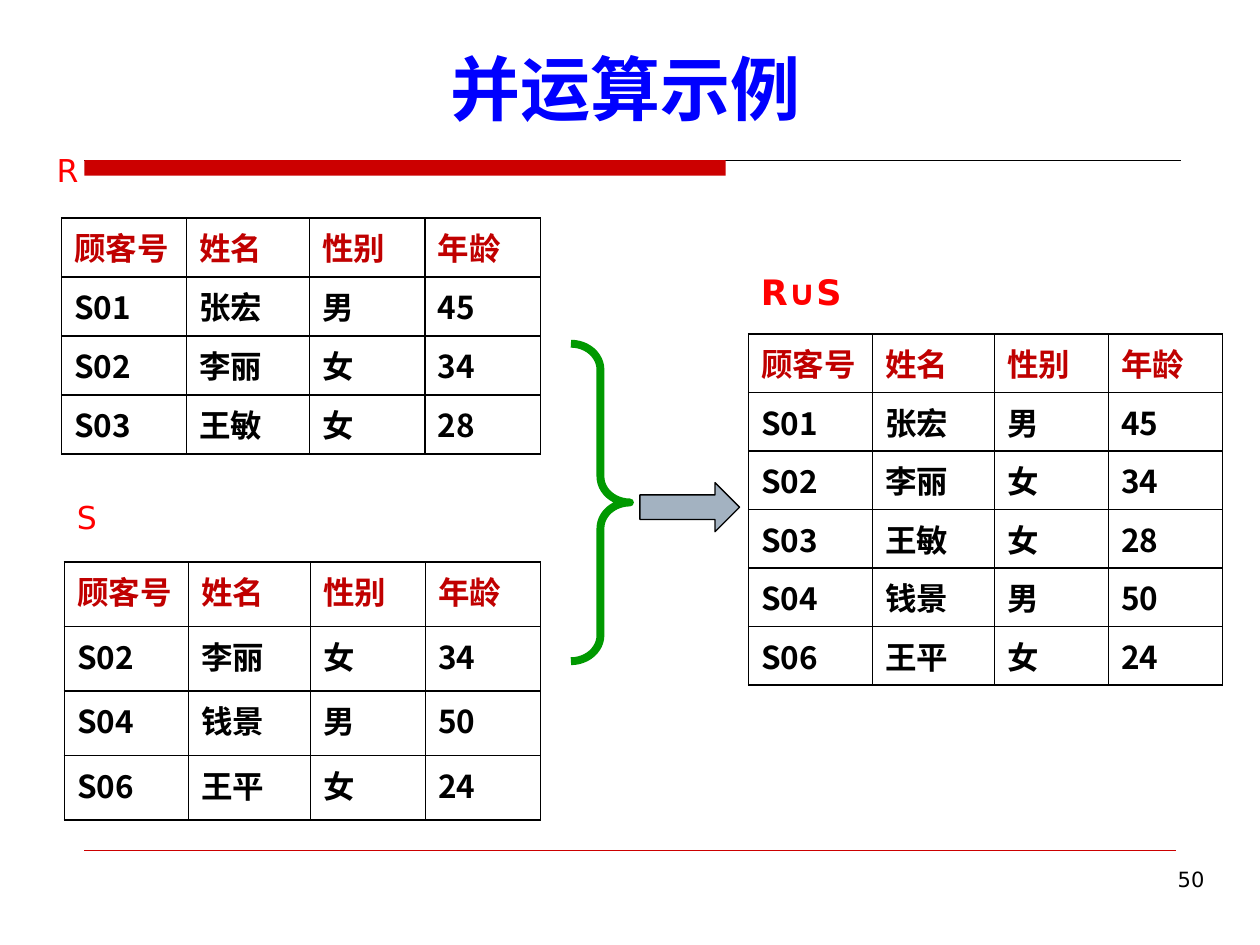
"""Build a slide that shows the union of two customer relations."""
from lxml import etree
from pptx import Presentation
from pptx.dml.color import RGBColor
from pptx.enum.shapes import MSO_CONNECTOR, MSO_SHAPE
from pptx.enum.text import MSO_ANCHOR, PP_ALIGN
from pptx.oxml.ns import qn
from pptx.util import Cm, Pt

STRAIGHT = MSO_CONNECTOR.STRAIGHT
RECTANGLE = MSO_SHAPE.RECTANGLE
RIGHT_BRACE = MSO_SHAPE.RIGHT_BRACE
RIGHT_ARROW = MSO_SHAPE.RIGHT_ARROW
BOTTOM = MSO_ANCHOR.BOTTOM
LEFT, CENTER, RIGHT = PP_ALIGN.LEFT, PP_ALIGN.CENTER, PP_ALIGN.RIGHT

BLACK = RGBColor(0x00, 0x00, 0x00)
BLUE = RGBColor(0x00, 0x00, 0xFF)
RED = RGBColor(0xFF, 0x00, 0x00)
RULE_RED = RGBColor(0xCC, 0x00, 0x00)
HEADER_RED = RGBColor(0xC0, 0x00, 0x00)
GREEN = RGBColor(0x00, 0x99, 0x00)
GREY_BLUE = RGBColor(0xA3, 0xB2, 0xC1)

CHINESE_FONT = "Noto Sans CJK SC"
CODE_FONT = "Noto Sans CJK KR"
SERIF_FONT = "Times New Roman"
LABEL_FONT = "DejaVu Sans"

HEADER = ("顾客号", "姓名", "性别", "年龄")
R_ROWS = [("S01", "张宏", "男", "45"), ("S02", "李丽", "女", "34"), ("S03", "王敏", "女", "28")]
S_ROWS = [("S02", "李丽", "女", "34"), ("S04", "钱景", "男", "50"), ("S06", "王平", "女", "24")]
UNION_ROWS = R_ROWS + [row for row in S_ROWS if row not in R_ROWS]


class SlideBuilder:
    """Hold the style and the current slide."""

    def __init__(self, slide):
        self.slide = slide
        self.shapes = slide.shapes

    def style(self, paragraph, size, color, font, bold=False, align=LEFT):
        paragraph.alignment = align
        for run in paragraph.runs:
            run.font.size = Pt(size)
            run.font.bold = bold
            run.font.color.rgb = color
            run.font.name = font
            east_asian = etree.SubElement(run.font._element, qn("a:ea"))
            east_asian.set("typeface", CHINESE_FONT)

    def title(self, text, left, top, width, height):
        title = self.shapes.title
        title.left, title.top, title.width, title.height = map(Cm, (left, top, width, height))
        title.text_frame.text = text
        title.text_frame.vertical_anchor = BOTTOM
        self.style(title.text_frame.paragraphs[0], 40, BLUE, CHINESE_FONT, True, CENTER)

    def label(self, text, left, top, width, height, size=18, color=RED, bold=False, align=LEFT):
        box = self.shapes.add_textbox(*map(Cm, (left, top, width, height)))
        box.text_frame.word_wrap = True
        box.text_frame.text = text
        self.style(box.text_frame.paragraphs[0], size, color, LABEL_FONT, bold, align)

    def rule(self, left, right, y, color, width):
        connector = self.shapes.add_connector(STRAIGHT, *map(Cm, (left, y, right, y)))
        connector.line.color.rgb = color
        connector.line.width = Pt(width)
        etree.SubElement(connector._element.spPr, qn("a:effectLst"))

    def shape(self, kind, left, top, width, height, fill=None, line=None, line_width=0.75):
        shape = self.shapes.add_shape(kind, *map(Cm, (left, top, width, height)))
        shape.shadow.inherit = False
        if fill is None:
            shape.fill.background()
        else:
            shape.fill.solid()
            shape.fill.fore_color.rgb = fill
        if line is None:
            shape.line.fill.background()
        else:
            shape.line.color.rgb = line
            shape.line.width = Pt(line_width)
        return shape

    def border(self, cell):
        properties = cell._tc.get_or_add_tcPr()
        for index, side in enumerate(("lnL", "lnR", "lnT", "lnB")):
            line = etree.Element(qn(f"a:{side}"), w=str(Pt(1)))
            fill = etree.SubElement(line, qn("a:solidFill"))
            etree.SubElement(fill, qn("a:srgbClr"), val=str(BLACK))
            properties.insert(index, line)

    def table(self, rows, left, top, column_widths, row_height, text_font, code_font):
        data = [HEADER, *rows]
        frame = self.shapes.add_table(
            len(data), len(HEADER), Cm(left), Cm(top),
            Cm(sum(column_widths)), Cm(row_height * len(data)))
        table = frame.table
        for column, width in zip(table.columns, column_widths):
            column.width = Cm(width)
        for row_index, values in enumerate(data):
            table.rows[row_index].height = Cm(row_height)
            for column_index, value in enumerate(values):
                cell = table.cell(row_index, column_index)
                cell.fill.background()
                self.border(cell)
                cell.text_frame.text = value
                paragraph = cell.text_frame.paragraphs[0]
                color = BLACK if row_index else HEADER_RED
                font = code_font if value.isascii() else text_font
                self.style(paragraph, 18, color, font, True)
                indent = paragraph._p.get_or_add_pPr()
                indent.set("marL", str(Cm(0.96)))
                indent.set("indent", str(-Cm(0.96)))


def main():
    presentation = Presentation()
    presentation.slide_width, presentation.slide_height = Cm(25.4), Cm(19.05)
    builder = SlideBuilder(presentation.slides.add_slide(presentation.slide_layouts[5]))

    builder.rule(1.7, 23.8, 3.23, BLACK, 0.75)
    builder.shape(RECTANGLE, 1.7, 3.23, 12.93, 0.31, fill=RULE_RED)
    builder.rule(1.7, 23.7, 17.15, RULE_RED, 0.25)
    builder.title("并运算示例", 0.64, 0, 23.93, 2.74)

    builder.table(R_ROWS, 1.24, 4.39, (2.52, 2.48, 2.33, 2.33), 1.19, CHINESE_FONT, CHINESE_FONT)
    builder.table(S_ROWS, 1.3, 11.33, (2.5, 2.46, 2.32, 2.32), 1.3, SERIF_FONT, CODE_FONT)
    builder.table(UNION_ROWS, 15.09, 6.73, (2.5, 2.46, 2.3, 2.3), 1.18, SERIF_FONT, CODE_FONT)

    brace = builder.shape(RIGHT_BRACE, 11.51, 6.93, 1.19, 6.4, line=GREEN, line_width=4.5)
    brace.adjustments[0] = 0.44
    builder.shape(RIGHT_ARROW, 12.9, 9.73, 2.01, 0.99, fill=GREY_BLUE, line=BLACK)

    builder.label("R", 0.89, 2.92, 2.39, 1.6)
    builder.label("S", 1.3, 9.91, 2.39, 1.6)
    builder.label("R∪S", 15.09, 5.33, 3.81, 1.12, size=20, bold=True)
    builder.label("50", 19.25, 17.35, 5.28, 1.27, size=12, color=BLACK, align=RIGHT)
    presentation.save("out.pptx")


if __name__ == "__main__":
    main()
